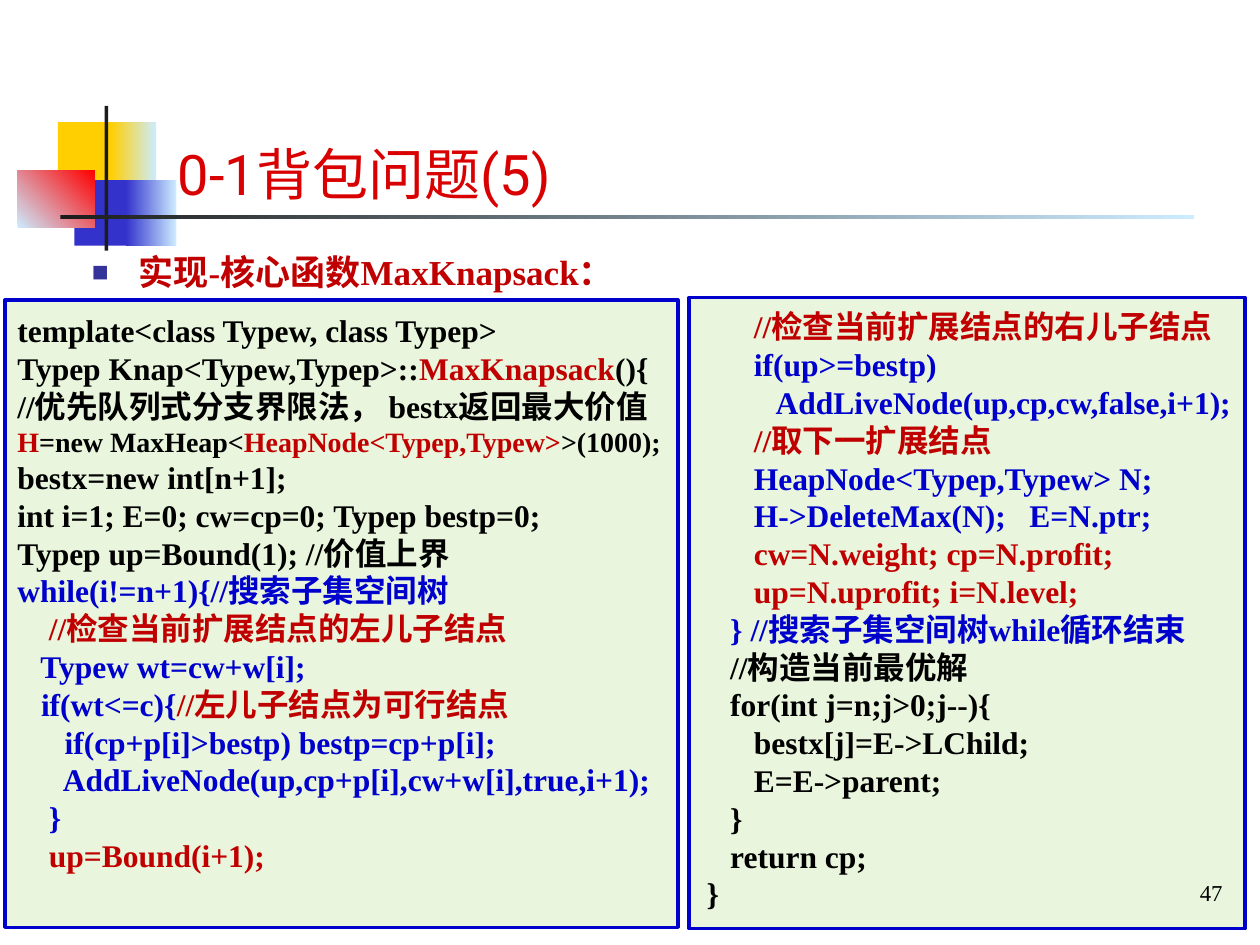
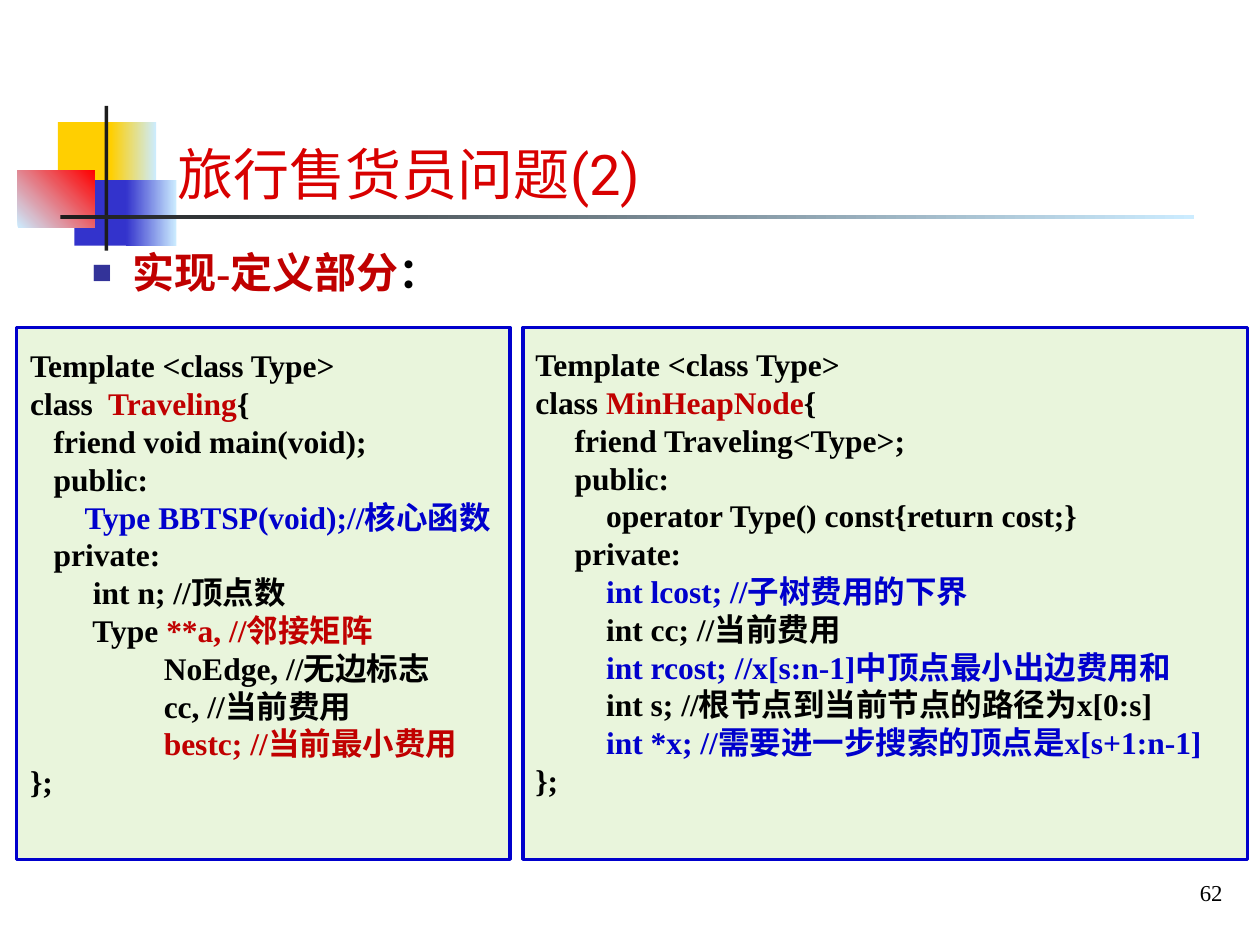
import pptx
import pptx.dml.color
import pptx.enum.shapes
import pptx.enum.text
import pptx.util
from lxml import etree
from pptx.oxml.ns import qn
from pptx.util import Inches

BLACK, RED, BLUE = "000000", "C00000", "0000CC"
TITLE_RED, PANEL_GREEN, BULLET_BLUE = "D80000", "92D050", "333399"
YELLOW, INDIGO, PALE, BRIGHT_RED, DARK = "FFCF01", "3333CC", "CCECFF", "FF0000", "1C1C1C"
TITLE_FONT, TEXT_FONT = "Roboto", "Times New Roman"
CODE_SIZE = 18
LINE_PITCH = 1.2

TITLE_BOX = (1.31, 0.6, 8.42, 1.09)
NUMBER_BOX = (7.89, 6.9, 1.91, 0.37)

DECORATION = [
    ((0.46, 0.97, 0.48, 0.52), [YELLOW], 0),
    ((0.88, 0.97, 0.36, 0.52), [YELLOW, PALE], 0),
    ((0.59, 1.43, 0.46, 0.52), [INDIGO], 0),
    ((1, 1.43, 0.4, 0.52), [INDIGO, PALE], 0),
    ((0.14, 1.35, 0.61, 0.46), [PALE, BRIGHT_RED], 45),
    ((0.83, 0.84, 0.03, 1.15), [DARK], 0),
    ((0.48, 1.71, 9, 0.03), [DARK, PALE], 0),
]

KNAPSACK_LEFT = [
    (BLACK, "template<class Typew, class Typep>"),
    (BLACK, "Typep Knap<Typew,Typep>::", RED, "MaxKnapsack", BLACK, "(){"),
    (BLACK, "//优先队列式分支界限法， bestx返回最大价值"),
    (RED, "H", BLACK, "=new MaxHeap<", RED, "HeapNode<Typep,Typew>", BLACK, ">(1000);"),
    (BLACK, "bestx=new int[n+1];"),
    (BLACK, "int i=1; E=0; cw=cp=0; Typep bestp=0;"),
    (BLACK, "Typep up=Bound(1); //价值上界"),
    (BLUE, "while(i!=n+1){//搜索子集空间树"),
    (RED, "    //检查当前扩展结点的左儿子结点"),
    (BLUE, "   Typew wt=cw+w[i];"),
    (BLUE, "   if(wt<=c){", RED, "//左儿子结点为可行结点"),
    (BLUE, "      if(cp+p[i]>bestp) bestp=cp+p[i];"),
    (BLUE, "      AddLiveNode(up,cp+p[i],cw+w[i],true,i+1);"),
    (BLUE, "    }"),
    (RED, "    up=Bound(i+1);"),
]

KNAPSACK_RIGHT = [
    (RED, "      //检查当前扩展结点的右儿子结点"),
    (BLUE, "      if(up>=bestp)"),
    (BLUE, "         AddLiveNode(up,cp,cw,false,i+1);"),
    (RED, "      //取下一扩展结点"),
    (BLUE, "      HeapNode<Typep,Typew> N;"),
    (BLUE, "      H->DeleteMax(N);   E=N.ptr;"),
    (RED, "      cw=N.weight; cp=N.profit;"),
    (RED, "      up=N.uprofit; i=N.level;"),
    (BLUE, "   } //搜索子集空间树while循环结束"),
    (BLACK, "   //构造当前最优解"),
    (BLACK, "   for(int j=n;j>0;j--){"),
    (BLACK, "      bestx[j]=E->LChild;"),
    (BLACK, "      E=E->parent;"),
    (BLACK, "   }"),
    (BLACK, "   return cp;"),
    (BLACK, "}"),
]

TRAVELING_CLASS = [
    (BLACK, "Template <class Type>"),
    (BLACK, "class ", RED, " Traveling", BLACK, "{"),
    (BLACK, "   friend void main(void);"),
    (BLACK, "   public:"),
    (BLUE, "       Type BBTSP(void);//核心函数"),
    (BLACK, "   private:"),
    (BLACK, "        int n; //顶点数"),
    (BLACK, "        Type ", RED, "**a, //邻接矩阵"),
    (BLACK, "                 NoEdge, //无边标志"),
    (BLACK, "                 cc, //当前费用"),
    (RED, "                 bestc; //当前最小费用"),
    (BLACK, "};"),
]

HEAP_NODE_CLASS = [
    (BLACK, "Template <class Type>"),
    (BLACK, "class ", RED, "MinHeapNode", BLACK, "{"),
    (BLACK, "     friend Traveling<Type>;"),
    (BLACK, "     public:"),
    (BLACK, "         operator Type() const{return cost;}"),
    (BLACK, "     private:"),
    (BLUE, "         int lcost; //子树费用的下界"),
    (BLACK, "         int cc; //当前费用"),
    (BLUE, "         int rcost; //x[s:n-1]中顶点最小出边费用和"),
    (BLACK, "         int s; //根节点到当前节点的路径为x[0:s]"),
    (BLUE, "         int *x; //需要进一步搜索的顶点是x[s+1:n-1]"),
    (BLACK, "};"),
]

SLIDES = [
    {
        "title": "0-1背包问题(5)",
        "number": "47",
        "heading": (RED, "实现-核心函数MaxKnapsack："),
        "heading_box": (0.63, 1.94, 8.93, 0.43),
        "heading_size": 20,
        "heading_indent": 0.37,
        "panels": [
            {"frame": (0.04, 2.38, 5.34, 4.98), "text_box": (0.04, 2.42, 5.34, 4.87),
             "code": KNAPSACK_LEFT, "sizes": {3: 16}},
            {"frame": (5.47, 2.36, 4.41, 5.01), "text_box": (5.51, 2.39, 4.41, 4.9),
             "code": KNAPSACK_RIGHT, "sizes": {}},
        ],
    },
    {
        "title": "旅行售货员问题(2)",
        "number": "62",
        "heading": (RED, "实现-定义部分", BLACK, "："),
        "heading_box": (0.63, 1.91, 8.93, 0.5),
        "heading_size": 24,
        "heading_indent": 0.32,
        "panels": [
            {"frame": (0.13, 2.6, 3.92, 4.22), "text_box": (0.14, 2.7, 3.89, 4),
             "code": TRAVELING_CLASS, "sizes": {}},
            {"frame": (4.15, 2.6, 5.75, 4.22), "text_box": (4.15, 2.69, 5.75, 3.7),
             "code": HEAP_NODE_CLASS, "sizes": {}},
        ],
    },
]


def color(value):
    return pptx.dml.color.RGBColor.from_string(value)


def place(shape, box):
    shape.left, shape.top, shape.width, shape.height = map(Inches, box)


def set_font(font, name, size, value, bold=False):
    font.name = name
    font.size = pptx.util.Pt(size)
    font.bold = bold
    font.color.rgb = color(value)


def add_rectangle(slide, box):
    shape = slide.shapes.add_shape(
        pptx.enum.shapes.MSO_SHAPE.RECTANGLE, *map(Inches, box))
    shape.shadow.inherit = False
    return shape


def add_text_box(slide, box):
    shape = slide.shapes.add_textbox(*map(Inches, box))
    shape.text_frame.word_wrap = True
    return shape.text_frame


def write_line(paragraph, parts, size):
    paragraph.line_spacing = pptx.util.Pt(round(size * LINE_PITCH, 1))
    paragraph.space_before = pptx.util.Pt(0)
    for value, text in zip(parts[::2], parts[1::2]):
        run = paragraph.add_run()
        run.text = text
        set_font(run.font, TEXT_FONT, size, value, bold=True)


def decorate_layout(layout, slide):
    for box, colors, angle in DECORATION:
        shape = add_rectangle(slide, box)
        shape.line.fill.background()
        if len(colors) == 1:
            shape.fill.solid()
            shape.fill.fore_color.rgb = color(colors[0])
        else:
            shape.fill.gradient()
            shape.fill.gradient_angle = angle
            for stop, value in zip(shape.fill.gradient_stops, colors):
                stop.color.rgb = color(value)
        layout.shapes.element.append(shape.element)


def add_title(slide, text):
    title = slide.shapes.title
    place(title, TITLE_BOX)
    frame = title.text_frame
    frame.text = text
    frame.auto_size = pptx.enum.text.MSO_AUTO_SIZE.NONE
    frame.vertical_anchor = pptx.enum.text.MSO_ANCHOR.BOTTOM
    frame.paragraphs[0].alignment = pptx.enum.text.PP_ALIGN.LEFT
    set_font(frame.paragraphs[0].runs[0].font, TITLE_FONT, 32, TITLE_RED)


def add_bullet(paragraph, indent):
    properties = paragraph._p.get_or_add_pPr()
    properties.set("marL", str(Inches(indent)))
    properties.set("indent", str(-Inches(indent)))
    bullet_color = etree.SubElement(properties, qn("a:buClr"))
    etree.SubElement(bullet_color, qn("a:srgbClr"), val=BULLET_BLUE)
    etree.SubElement(properties, qn("a:buSzPct"), val="80000")
    etree.SubElement(properties, qn("a:buChar"), char="■")


def add_heading(slide, content):
    body = slide.placeholders[1]
    place(body, content["heading_box"])
    body.text_frame.auto_size = pptx.enum.text.MSO_AUTO_SIZE.NONE
    paragraph = body.text_frame.paragraphs[0]
    add_bullet(paragraph, content["heading_indent"])
    write_line(paragraph, content["heading"], content["heading_size"])


def add_panel(slide, panel):
    frame = add_rectangle(slide, panel["frame"])
    frame.fill.solid()
    frame.fill.fore_color.rgb = color(PANEL_GREEN)
    fill_color = frame.element.spPr.find(qn("a:solidFill")).find(qn("a:srgbClr"))
    etree.SubElement(fill_color, qn("a:alpha"), val="20000")
    frame.line.color.rgb = color(BLUE)
    frame.line.width = pptx.util.Pt(2)

    text_frame = add_text_box(slide, panel["text_box"])
    for index, parts in enumerate(panel["code"]):
        paragraph = text_frame.add_paragraph() if index else text_frame.paragraphs[0]
        write_line(paragraph, parts, panel["sizes"].get(index, CODE_SIZE))


def add_number(slide, number):
    text_frame = add_text_box(slide, NUMBER_BOX)
    text_frame.text = number
    text_frame.vertical_anchor = pptx.enum.text.MSO_ANCHOR.MIDDLE
    paragraph = text_frame.paragraphs[0]
    paragraph.alignment = pptx.enum.text.PP_ALIGN.RIGHT
    set_font(paragraph.runs[0].font, TEXT_FONT, 13, BLACK)


def main():
    presentation = pptx.Presentation()
    presentation.slide_width, presentation.slide_height = Inches(10), Inches(7.5)
    layout = presentation.slide_layouts[1]
    for index, content in enumerate(SLIDES):
        slide = presentation.slides.add_slide(layout)
        if index == 0:
            decorate_layout(layout, slide)
        add_title(slide, content["title"])
        add_heading(slide, content)
        for panel in content["panels"]:
            add_panel(slide, panel)
        add_number(slide, content["number"])
    presentation.save("out.pptx")


if __name__ == "__main__":
    main()
